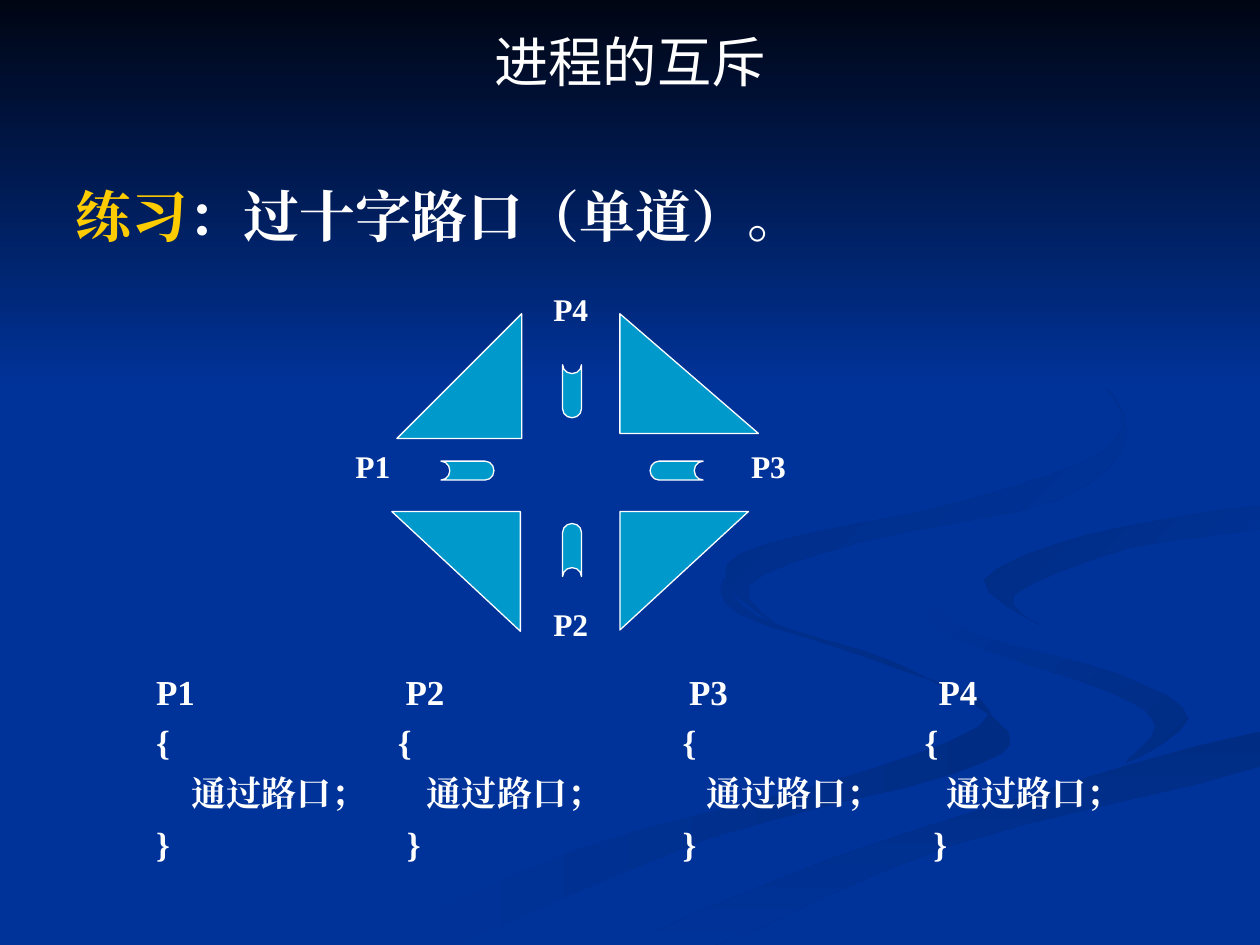
import pptx
import pptx.util
import pptx.dml.color
import pptx.enum.shapes
import pptx.enum.text
import pptx.oxml.ns
from lxml import etree

COLORS = {
    "road": "003399", "shade": "002C84", "night": "000514",
    "island": "0099CC", "text": "FFFFFF", "accent": "FFCC00",
}
SERIF, SANS = "Times New Roman", "Noto Sans CJK SC"
SHAPE = pptx.enum.shapes.MSO_SHAPE
CENTER = pptx.enum.text.PP_ALIGN.CENTER
MIDDLE = pptx.enum.text.MSO_ANCHOR.MIDDLE
qn = pptx.oxml.ns.qn

deck = pptx.Presentation()
deck.slide_width = pptx.util.Inches(10)
deck.slide_height = pptx.util.Inches(7.5)
slide = deck.slides.add_slide(deck.slide_layouts[6])
shapes = slide.shapes
# Grid: 1000 columns by 750 rows of square cells
CELL = deck.slide_width // 1000


def paint(shape, stops, angle=0, outline=None):
    """Fill with one colour, a two-stop gradient, or nothing."""
    shape.shadow.inherit = False
    if len(stops) == 2:
        shape.fill.gradient()
        shape.fill.gradient_angle = -angle % 360
        for position, stop in enumerate(shape.fill.gradient_stops):
            stop.color.rgb = pptx.dml.color.RGBColor.from_string(COLORS[stops[position]])
            stop.position = position
    elif stops:
        shape.fill.solid()
        shape.fill.fore_color.rgb = pptx.dml.color.RGBColor.from_string(COLORS[stops[0]])
    else:
        shape.fill.background()
    if outline:
        shape.line.color.rgb = pptx.dml.color.RGBColor.from_string(COLORS[outline])
        shape.line.width = pptx.util.Pt(0.75)
    else:
        shape.line.fill.background()


def style(run, size, bold=True, face=SERIF, color="text"):
    run.font.size = pptx.util.Pt(size)
    run.font.bold = bold
    run.font.color.rgb = pptx.dml.color.RGBColor.from_string(COLORS[color])
    run.font.name = face
    etree.SubElement(run.font._element, qn("a:ea"), typeface=face)


# Background: ribbons, each a smooth curve through its outer and inner edge
slide.background.fill.solid()
slide.background.fill.fore_color.rgb = pptx.dml.color.RGBColor.from_string(COLORS["road"])
ribbons = [
    (("road", "shade"), 0, [
        (575, 459), (586, 487), (697, 525), (786, 566), (684, 613), (458, 674),
        (300, 749), (361, 749), (564, 665), (756, 614), (800, 581), (715, 528), (602, 490)]),
    (("road", "shade"), 45, [
        (724, 464), (755, 505), (880, 549), (917, 576), (894, 605), (943, 570),
        (888, 535), (774, 503)]),
    (("shade", "road"), 90, [
        (503, 749), (571, 749), (752, 672), (998, 609), (998, 581), (764, 647), (630, 693)]),
    (("shade", "road"), 45, [
        (781, 460), (826, 496), (805, 472), (896, 435), (998, 420), (998, 402), (865, 424)]),
    (("shade", "road"), 45, [
        (762, 233), (870, 299), (882, 354), (763, 398), (605, 433), (577, 462),
        (622, 500), (594, 465), (683, 430), (841, 396), (894, 344), (854, 283)]),
]
for stops, angle, edge in ribbons:
    curve = []
    for i, here in enumerate(edge):
        before, ahead, beyond = edge[i - 1], edge[(i + 1) % len(edge)], edge[(i + 2) % len(edge)]
        for t in (0, 0.25, 0.5, 0.75):
            # Catmull-Rom spline from here to ahead
            curve.append([
                b + t * ((c - a) + t * (2 * a - 5 * b + 4 * c - d + t * (3 * b - a - 3 * c + d))) / 2
                for a, b, c, d in zip(before, here, ahead, beyond)])
    builder = shapes.build_freeform(*curve[0], scale=CELL)
    builder.add_line_segments(curve[1:], close=True)
    paint(builder.convert_to_shape(), stops, angle)

# Night sky over the tops of the ribbons
sky = shapes.add_shape(SHAPE.RECTANGLE, 0, 0, deck.slide_width, 308 * CELL)
paint(sky, ("night", "road"), 90)

# Exercise heading
exercise = shapes.add_textbox(50 * CELL, 139 * CELL, 900 * CELL, 197 * CELL).text_frame
exercise.word_wrap = True
for words, color in [("练习", "accent"), ("：过十字路口（单道）。", "text")]:
    run = exercise.paragraphs[0].add_run()
    run.text = words
    style(run, 32, color=color)

# Title
title = shapes.add_textbox(75 * CELL, 21 * CELL, 850 * CELL, 64 * CELL).text_frame
title.word_wrap = True
title.vertical_anchor = MIDDLE
title.text = "进程的互斥"
title.paragraphs[0].alignment = CENTER
title.paragraphs[0].line_spacing = 0.8
style(title.paragraphs[0].runs[0], 31, bold=False, face=SANS)

# Code of the four processes: one line per row, tab stops set the columns
code = shapes.add_textbox(114 * CELL, 527 * CELL, 819 * CELL, 197 * CELL).text_frame
code.word_wrap = True
code_lines = [
    (["P1", "P2", "P3", "P4"], (198, 423, 621)),
    (["{"] * 4, (192, 418, 610)),
    (["    通过路口；"] + ["通过路口；"] * 3, (215, 437, 627)),
    (["}"] * 4, (199, 418, 617)),
]
for row, (cells, stops) in enumerate(code_lines):
    line = code.add_paragraph() if row else code.paragraphs[0]
    line.text = "\t".join(cells)
    line.space_before = pptx.util.Pt(5 if row else 0)
    tabs = etree.SubElement(line._p.get_or_add_pPr(), qn("a:tabLst"))
    for stop in stops:
        etree.SubElement(tabs, qn("a:tab"), pos=str(stop * CELL), algn="l")
    for run in line.runs:
        style(run, 20)

# Four corner islands
islands = [
    (492, 249, 110, 95), (496, 402, 94, 102), (311, 406, 102, 95), (315, 249, 99, 99),
]
for quarter, (left, top, width, height) in enumerate(islands):
    island = shapes.add_shape(SHAPE.RIGHT_TRIANGLE, left * CELL, top * CELL,
                              width * CELL, height * CELL)
    island.rotation = 90 * quarter
    paint(island, ("island",), outline="text")

# Cars and process labels, clockwise from the right-hand road
directions = [("P3", 1, 0), ("P2", 0, 1), ("P1", -1, 0), ("P4", 0, -1)]
for quarter, (process, across, down) in enumerate(directions):
    car = shapes.add_shape(SHAPE.FLOWCHART_STORED_DATA, (433 + 83 * across) * CELL,
                           (366 + 63 * down) * CELL, 42 * CELL, 15 * CELL)
    car.rotation = 90 * quarter
    paint(car, ("island",), outline="text")

    label = shapes.add_shape(SHAPE.OVAL, (429 + 157 * across) * CELL,
                             (350 + 125 * down) * CELL, 48 * CELL, 40 * CELL)
    paint(label, ())
    label.text_frame.word_wrap = False
    label.text_frame.vertical_anchor = MIDDLE
    label.text_frame.text = process
    label.text_frame.paragraphs[0].alignment = CENTER
    style(label.text_frame.paragraphs[0].runs[0], 18)

deck.save("out.pptx")
